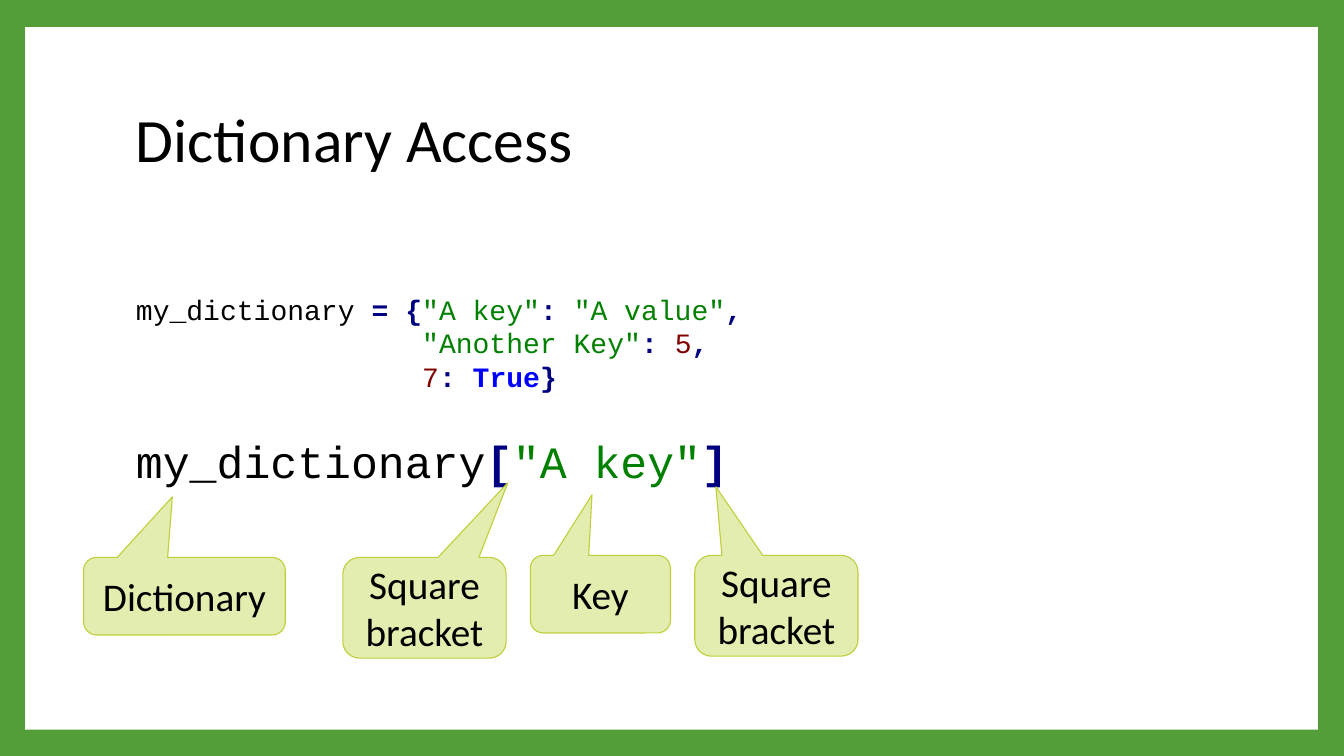
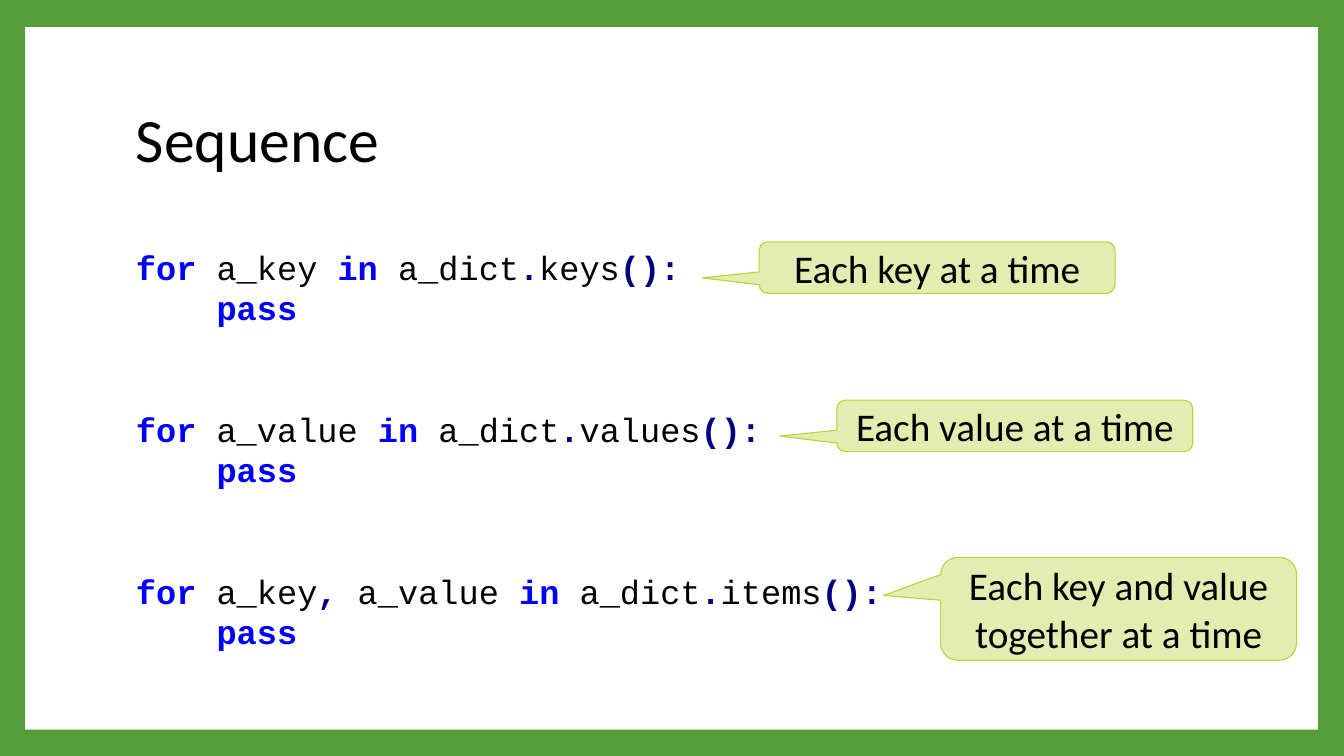
from pptx import Presentation
from pptx.dml.color import RGBColor
from pptx.enum.shapes import MSO_SHAPE
from pptx.enum.text import MSO_ANCHOR, PP_ALIGN
from pptx.util import Inches, Pt

GREEN, WHITE, BLACK = "549E39", "FFFFFF", "000000"
CALLOUT_FILL, CALLOUT_LINE = "E4EDB0", "C0CF3A"
BODY_FONT, CODE_FONT = "Calibri", "Courier New"
LEFT = 1.25
STYLES = {
    "name": (BLACK, False),
    "op": ("000080", True),
    "str": ("008000", False),
    "num": ("800000", False),
    "kw": ("0000FF", True),
}


def rgb(value):
    """Turn a hex string into a colour."""
    return RGBColor.from_string(value)


def set_font(font, name, size, color=BLACK):
    """Set typeface, size and colour of a font."""
    font.name, font.size = name, Pt(size)
    font.color.rgb = rgb(color)


def add_box(s, kind, box, fill, line=None):
    """Add a flat filled preset shape."""
    sp = s.shapes.add_shape(kind, *map(Inches, box))
    sp.shadow.inherit = False
    sp.fill.solid()
    sp.fill.fore_color.rgb = rgb(fill)
    if line:
        sp.line.color.rgb = rgb(line)
        sp.line.width = Pt(0.79)
    else:
        sp.line.fill.background()
    return sp


def add_text_box(s, box):
    """Add a wrapping text box and return its text frame."""
    tf = s.shapes.add_textbox(*map(Inches, box)).text_frame
    tf.word_wrap = True
    return tf


def add_slide(prs, title):
    """Add a green-framed slide with its title."""
    s = prs.slides.add_slide(prs.slide_layouts[6])
    s.background.fill.solid()
    s.background.fill.fore_color.rgb = rgb(GREEN)
    add_box(s, MSO_SHAPE.RECTANGLE, (0.25, 0.27, 12.82, 6.97), WHITE)
    tf = add_text_box(s, (LEFT, 0.67, 10.8, 1.48))
    tf.vertical_anchor = MSO_ANCHOR.MIDDLE
    p = tf.paragraphs[0]
    p.text, p.line_spacing = title, 0.9
    set_font(p.font, BODY_FONT, 44)
    return s


def add_code(s, box, lines):
    """Write code lines given as (size, space before, tokens)."""
    tf = add_text_box(s, box)
    for i, (size, gap, tokens) in enumerate(lines):
        p = tf.add_paragraph() if i else tf.paragraphs[0]
        if gap:
            p.space_before = Pt(gap)
        set_font(p.font, CODE_FONT, size)
        for style, text in tokens:
            color, bold = STYLES[style]
            r = p.add_run()
            r.text = text
            r.font.bold = bold
            r.font.color.rgb = rgb(color)


def add_callout(s, box, text, tip):
    """Add a speech callout whose tip is relative to the box centre."""
    sp = add_box(s, MSO_SHAPE.ROUNDED_RECTANGULAR_CALLOUT, box, CALLOUT_FILL, CALLOUT_LINE)
    sp.adjustments[0], sp.adjustments[1] = tip
    tf = sp.text_frame
    tf.word_wrap = True
    tf.vertical_anchor = MSO_ANCHOR.MIDDLE
    p = tf.paragraphs[0]
    p.text, p.alignment = text, PP_ALIGN.CENTER
    set_font(p.font, BODY_FONT, 28)


def access_slide(prs):
    """Build the slide on reading a dictionary entry."""
    s = add_slide(prs, "Dictionary Access")
    indent = ("name", " " * len("my_dictionary = {"))
    add_code(s, (LEFT, 2.85, 8.55, 2.05), [
        (20, 0, [("name", "my_dictionary "), ("op", "= {"), ("str", '"A key"'),
                 ("op", ": "), ("str", '"A value"'), ("op", ",")]),
        (20, 0, [indent, ("str", '"Another Key"'), ("op", ": "), ("num", "5"), ("op", ",")]),
        (20, 0, [indent, ("num", "7"), ("op", ": "), ("kw", "True"), ("op", "}")]),
        (32, 29, [("name", "my_dictionary"), ("op", "["), ("str", '"A key"'), ("op", "]")]),
    ])
    for box, text, tip in [
        ((0.83, 5.53, 2, 0.77), "Dictionary", (-0.06, -1.28)),
        ((5.26, 5.51, 1.39, 0.77), "Key", (-0.06, -1.28)),
        ((3.4, 5.53, 1.62, 1), "Square bracket", (0.51, -1.24)),
        ((6.89, 5.51, 1.62, 1), "Square bracket", (-0.37, -1.18)),
    ]:
        add_callout(s, box, text, tip)


def sequence_slide(prs):
    """Build the slide on looping over a dictionary."""
    s = add_slide(prs, "Sequence")
    loops = [
        (["a_key"], "keys", "Each key at a time", (7.53, 2.4), 0.51, 0.2),
        (["a_value"], "values", "Each value at a time", (8.3, 3.97), 0.51, 0.2),
        (["a_key", "a_value"], "items", "Each key and value together at a time",
         (9.33, 5.53), 1.02, -0.13),
    ]
    lines = []
    for i, (names, method, *_) in enumerate(loops):
        targets = [("name", names[0])]
        for name in names[1:]:
            targets += [("op", ", "), ("name", name)]
        lines += [
            (24, 58 if i else 0, [
                ("kw", "for "), *targets, ("kw", " in "), ("name", "a_dict"),
                ("op", "."), ("name", method), ("op", "():")]),
            (24, 0, [("name", "    "), ("kw", "pass")]),
        ]
    add_code(s, (LEFT, 2.4, 8.54, 4.14), lines)
    for *_, text, corner, height, tip_y in loops:
        add_callout(s, (*corner, 3.53, height), text, (-0.66, tip_y))


def main():
    """Build and save the presentation."""
    prs = Presentation()
    prs.slide_width, prs.slide_height = Inches(13.33), Inches(7.5)
    access_slide(prs)
    sequence_slide(prs)
    prs.save("out.pptx")


if __name__ == "__main__":
    main()
